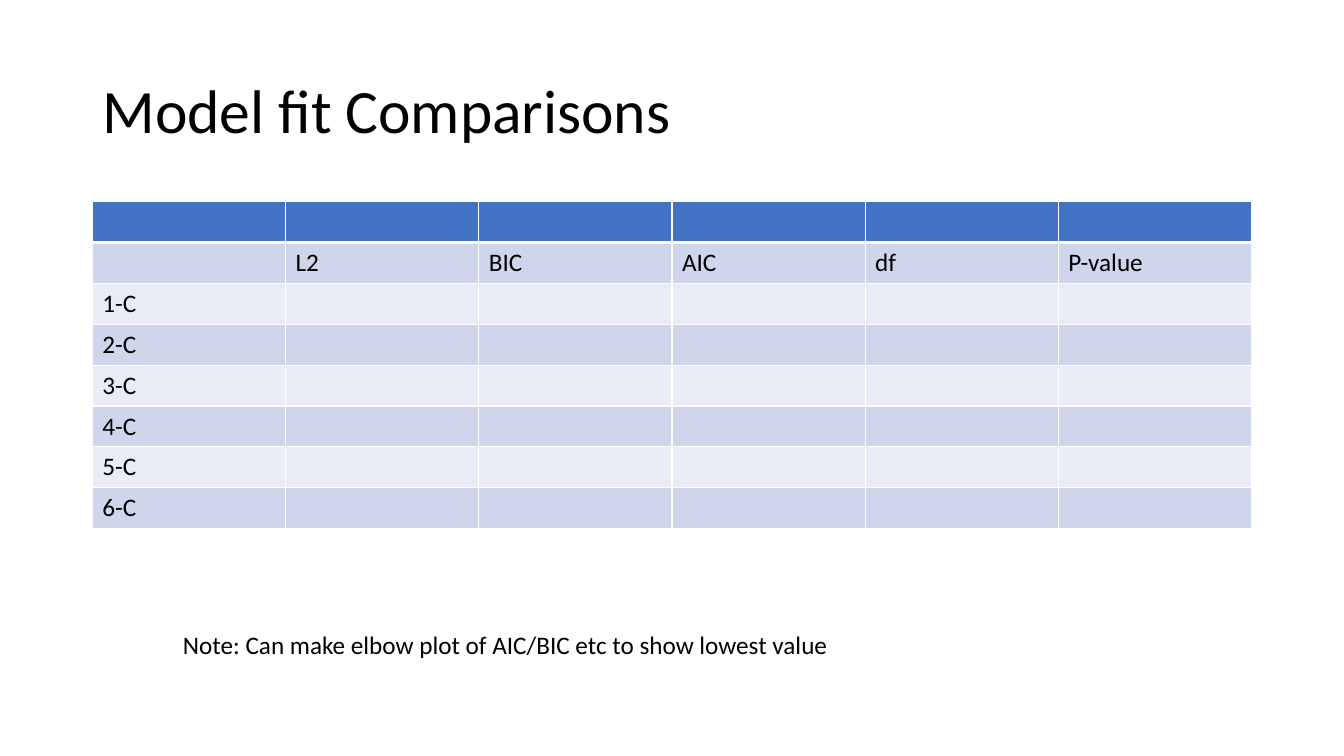
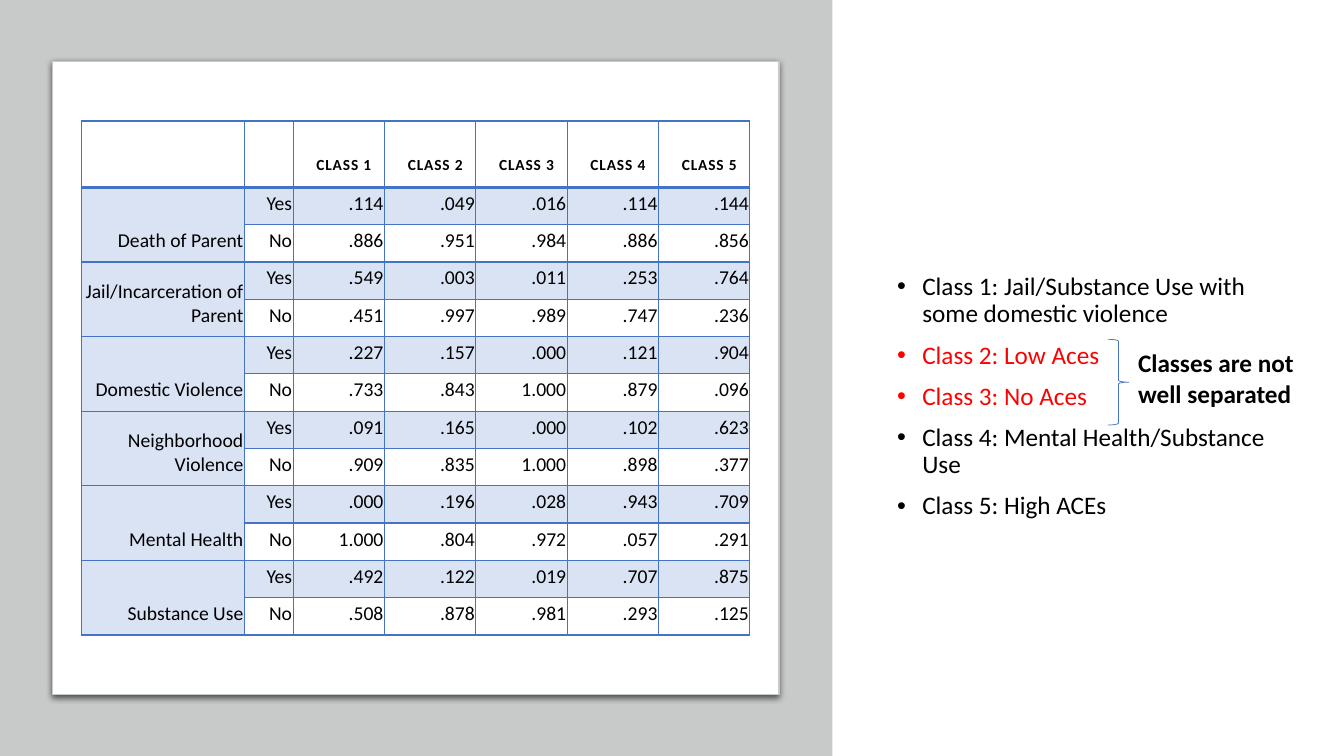
from collections import namedtuple

from lxml import etree
from pptx import Presentation
from pptx import util as u
from pptx.dml.color import RGBColor
from pptx.enum import shapes, text
from pptx.oxml import ns

UNIT = u.Inches(1) / 12  # the slide is a grid of 160 columns by 90 rows
COLUMNS, ROWS = 160, 90
FONT = "Calibri"
COLOURS = {
    "ink": "000000", "paper": "FFFFFF", "accent": "4472C4", "tint": "DAE3F3",
    "band_dark": "CFD5EA", "band_light": "E9EBF5", "panel": "C8CACA", "alert": "FF0000",
}

FIT_COLUMNS = ["", "L2", "BIC", "AIC", "df", "P-value"]
FIT_MODELS = [f"{count}-C" for count in range(1, 7)]
CLASS_HEADS = ["", ""] + [f"CLASS {number}" for number in range(1, 6)]
EXPERIENCES = [
    ("Death of Parent", ".114 .049 .016 .114 .144", ".886 .951 .984 .886 .856"),
    ("Jail/Incarceration of Parent", ".549 .003 .011 .253 .764", ".451 .997 .989 .747 .236"),
    ("Domestic Violence", ".227 .157 .000 .121 .904", ".733 .843 1.000 .879 .096"),
    ("Neighborhood Violence", ".091 .165 .000 .102 .623", ".909 .835 1.000 .898 .377"),
    ("Mental Health", ".000 .196 .028 .943 .709", "1.000 .804 .972 .057 .291"),
    ("Substance Use", ".492 .122 .019 .707 .875", ".508 .878 .981 .293 .125"),
]
CLASS_NOTES = [
    ("Class 1: Jail/Substance Use with some domestic violence", "ink"),
    ("Class 2: Low Aces", "alert"),
    ("Class 3: No Aces", "alert"),
    ("Class 4: Mental Health/Substance Use", "ink"),
    ("Class 5: High ACEs", "ink"),
]


class Box(namedtuple("Box", "left top width height")):
    """A region in grid units."""

    def inside(self, left, top, width, height):
        return Box(self.left + left, self.top + top, width, height)

    def lengths(self):
        return [u.Emu(round(value * UNIT)) for value in self]


def colour(name):
    return RGBColor.from_string(COLOURS[name])


def write(para, words, size=18, ink="ink", bold=False, align=text.PP_ALIGN.LEFT,
          line=None, before=0, tracking=0):
    para.alignment, para.space_before = align, u.Pt(before)
    if line:
        para.line_spacing = line
    span = para.add_run()
    span.text = words
    font = span.font
    font.name, font.size, font.bold = FONT, u.Pt(size), bold
    font.color.rgb = colour(ink)
    if tracking:
        span._r.get_or_add_rPr().set("spc", str(round(tracking * 100)))


def move(shape, box):
    shape.left, shape.top, shape.width, shape.height = box.lengths()


def add_label(page, box, words, **style):
    frame = page.shapes.add_textbox(*box.lengths()).text_frame
    frame.word_wrap = True
    write(frame.paragraphs[0], words, **style)


def add_block(page, kind, box, fill=None, line=None, weight=0.75):
    shape = page.shapes.add_shape(kind, *box.lengths())
    shape.shadow.inherit = False
    if fill:
        shape.fill.solid()
        shape.fill.fore_color.rgb = colour(fill)
    else:
        shape.fill.background()
    if line:
        shape.line.color.rgb = colour(line)
        shape.line.width = u.Pt(weight)
    else:
        shape.line.fill.background()
    return shape


def cast_shadow(shape, blur, distance, opacity):
    effects = shape._element.spPr.find(ns.qn("a:effectLst"))
    shadow = etree.SubElement(effects, ns.qn("a:outerShdw"), blurRad=str(u.Pt(blur)),
                              dist=str(u.Pt(distance)), dir="5400000", rotWithShape="0")
    ink = etree.SubElement(shadow, ns.qn("a:srgbClr"), val=COLOURS["ink"])
    etree.SubElement(ink, ns.qn("a:alpha"), val=str(opacity * 1000))


def set_borders(cell, name, **weights):
    """Draw 1 pt borders on all sides; weights overrides sides L, R, T and B."""
    properties = cell._tc.get_or_add_tcPr()
    for position, side in enumerate("LRTB"):
        edge = etree.Element(ns.qn(f"a:ln{side}"), w=str(u.Pt(weights.get(side, 1))))
        fill = etree.SubElement(edge, ns.qn("a:solidFill"))
        etree.SubElement(fill, ns.qn("a:srgbClr"), val=COLOURS[name])
        properties.insert(position, edge)


def add_grid(page, box, widths, heights, border, rule):
    """Add a table whose header row is closed by a rule of the given weight."""
    frame = page.shapes.add_table(len(heights), len(widths), *box.lengths())
    table = frame.table
    table.horz_banding = False
    for column, width in zip(table.columns, widths):
        column.width = u.Emu(round(width * UNIT))
    for index, (row, height) in enumerate(zip(table.rows, heights)):
        row.height = u.Emu(round(height * UNIT))
        thick = {0: {"B": rule}, 1: {"T": rule}}.get(index, {})
        for cell in row.cells:
            set_borders(cell, border, **thick)
    return table


def fill_cell(cell, words, fill=None, inset=None, anchor=None, **style):
    if fill:
        cell.fill.solid()
        cell.fill.fore_color.rgb = colour(fill)
    else:
        cell.fill.background()
    if inset:
        cell.margin_left, cell.margin_top, cell.margin_right, cell.margin_bottom = map(u.Inches, inset)
    if anchor:
        cell.vertical_anchor = anchor
    if words:
        write(cell.text_frame.paragraphs[0], words, **style)


def fit_table(page, box):
    blank = [""] * (len(FIT_COLUMNS) - 1)
    rows = [[""] + blank, FIT_COLUMNS] + [[model] + blank for model in FIT_MODELS]
    widths = [box.width / len(FIT_COLUMNS)] * len(FIT_COLUMNS)
    heights = [box.height / len(rows)] * len(rows)
    table = add_grid(page, box, widths, heights, "paper", 3)
    for index, row in enumerate(rows):
        band = "accent" if index == 0 else "band_dark" if index % 2 else "band_light"
        for column, words in enumerate(row):
            fill_cell(table.cell(index, column), words, band)


def class_table(page, box):
    label, answer, header = 19.4, 5.8, 7.9
    classes, lines = len(CLASS_HEADS) - 2, 2 * len(EXPERIENCES)
    widths = [label, answer] + [(box.width - label - answer) / classes] * classes
    heights = [header] + [(box.height - header) / lines] * lines
    table = add_grid(page, box, widths, heights, "accent", 2)
    shared = {"anchor": text.MSO_ANCHOR.BOTTOM, "align": text.PP_ALIGN.RIGHT}
    for column, words in enumerate(CLASS_HEADS):
        fill_cell(table.cell(0, column), words, inset=[0.13] * 4, size=11, bold=True,
                  tracking=0.6, **shared)
    for index, (name, yes, no) in enumerate(EXPERIENCES):
        top = 1 + 2 * index
        table.cell(top, 0).merge(table.cell(top + 1, 0))
        lines = [[name, "Yes"] + yes.split(), ["", "No"] + no.split()]
        for offset, line in enumerate(lines):
            for column, words in enumerate(line):
                tinted = offset == 0 or column == 0
                fill_cell(table.cell(top + offset, column), words, "tint" if tinted else None,
                          inset=(0.01, 0.01, 0.01, 0.09), size=14, **shared)


def class_panel(page, box):
    add_block(page, shapes.MSO_SHAPE.RECTANGLE, box, fill="panel")
    card_box = box.inside(6.24, 7.3, 86.5, 75.4)
    card = add_block(page, shapes.MSO_SHAPE.ROUNDED_RECTANGLE, card_box, fill="paper", line="panel")
    card.adjustments[0] = 0
    cast_shadow(card, blur=4.5, distance=1.5, opacity=63)
    class_table(page, card_box.inside(3.46, 7.1, 79.6, 61.2))


def class_list(page, box):
    body = page.placeholders[1]
    move(body, box.inside(6.5, 32, 48.1, 49.6))
    frame = body.text_frame
    for index, (words, ink) in enumerate(CLASS_NOTES):
        para = frame.add_paragraph() if index else frame.paragraphs[0]
        properties = para._p.get_or_add_pPr()
        properties.set("marL", str(u.Inches(0.25)))
        properties.set("indent", str(u.Inches(-0.25)))
        etree.SubElement(properties, ns.qn("a:buFont"), typeface="Arial")
        etree.SubElement(properties, ns.qn("a:buChar"), char="•")
        write(para, words, ink=ink, line=0.9, before=10 if index else 0)
    add_block(page, shapes.MSO_SHAPE.RIGHT_BRACE, box.inside(32.8, 40.4, 2.5, 10.2),
              line="accent", weight=0.5)
    add_label(page, box.inside(35.2, 40.8, 21.5, 8.5), "Classes are not well separated", bold=True)


def fit_slide(deck, box):
    page = deck.slides.add_slide(deck.slide_layouts[5])
    title = page.shapes.title
    move(title, box.inside(11, 4.8, 138, 17.4))
    title.text_frame.vertical_anchor = text.MSO_ANCHOR.MIDDLE
    write(title.text_frame.paragraphs[0], "Model fit Comparisons", size=44, line=0.9)
    fit_table(page, box.inside(11, 24, 138, 38.9))
    add_label(page, box.inside(20.6, 74.3, 84, 4.8),
              "Note: Can make elbow plot of AIC/BIC etc to show lowest value")


def class_slide(deck, box):
    page = deck.slides.add_slide(deck.slide_layouts[1])
    title = page.shapes.title._element
    title.getparent().remove(title)
    split = 99.1
    class_panel(page, box.inside(0, 0, split, box.height))
    class_list(page, box.inside(split, 0, box.width - split, box.height))


def main():
    deck = Presentation()
    canvas = Box(0, 0, COLUMNS, ROWS)
    deck.slide_width, deck.slide_height = canvas.lengths()[2:]
    fit_slide(deck, canvas)
    class_slide(deck, canvas)
    deck.save("out.pptx")


if __name__ == "__main__":
    main()
